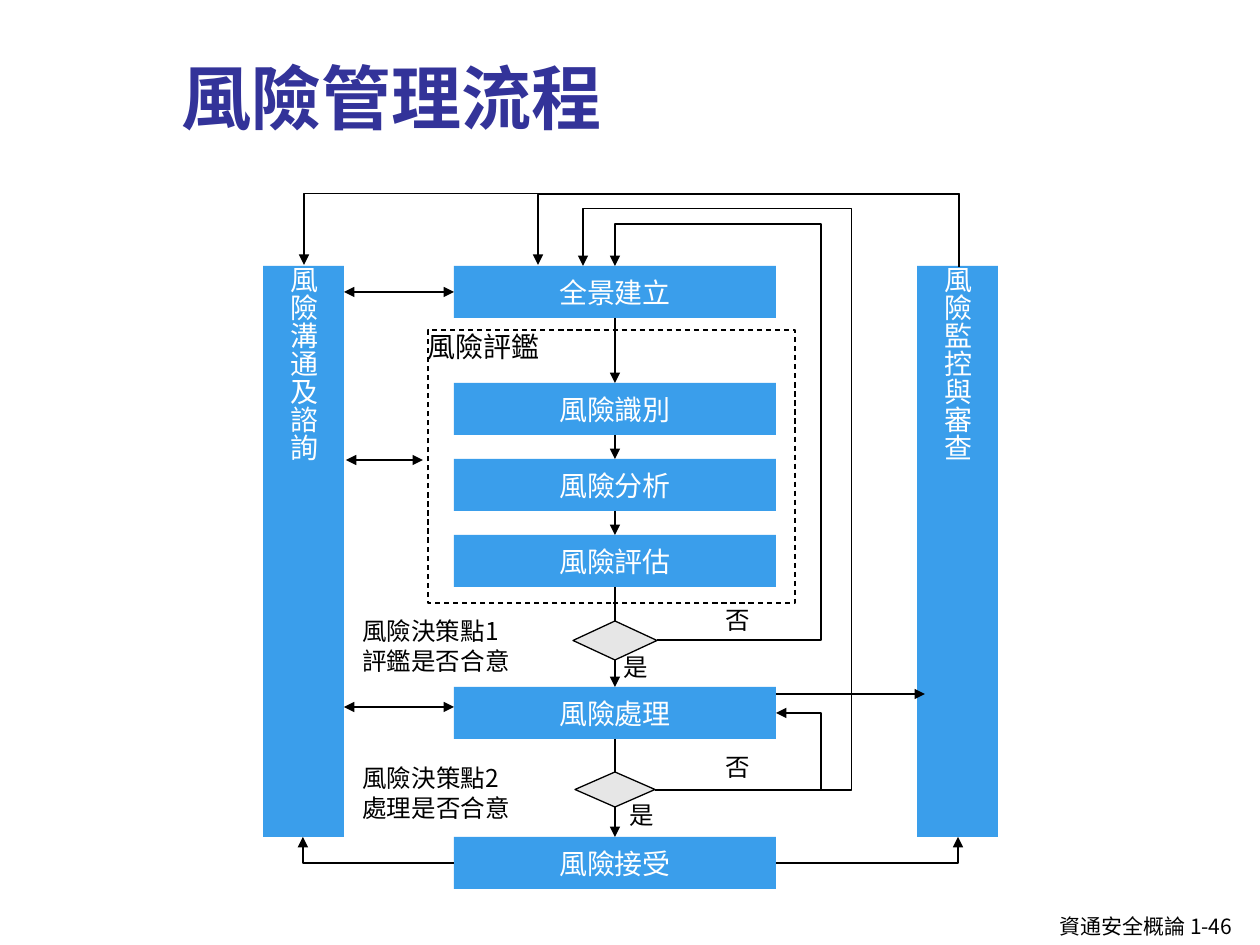
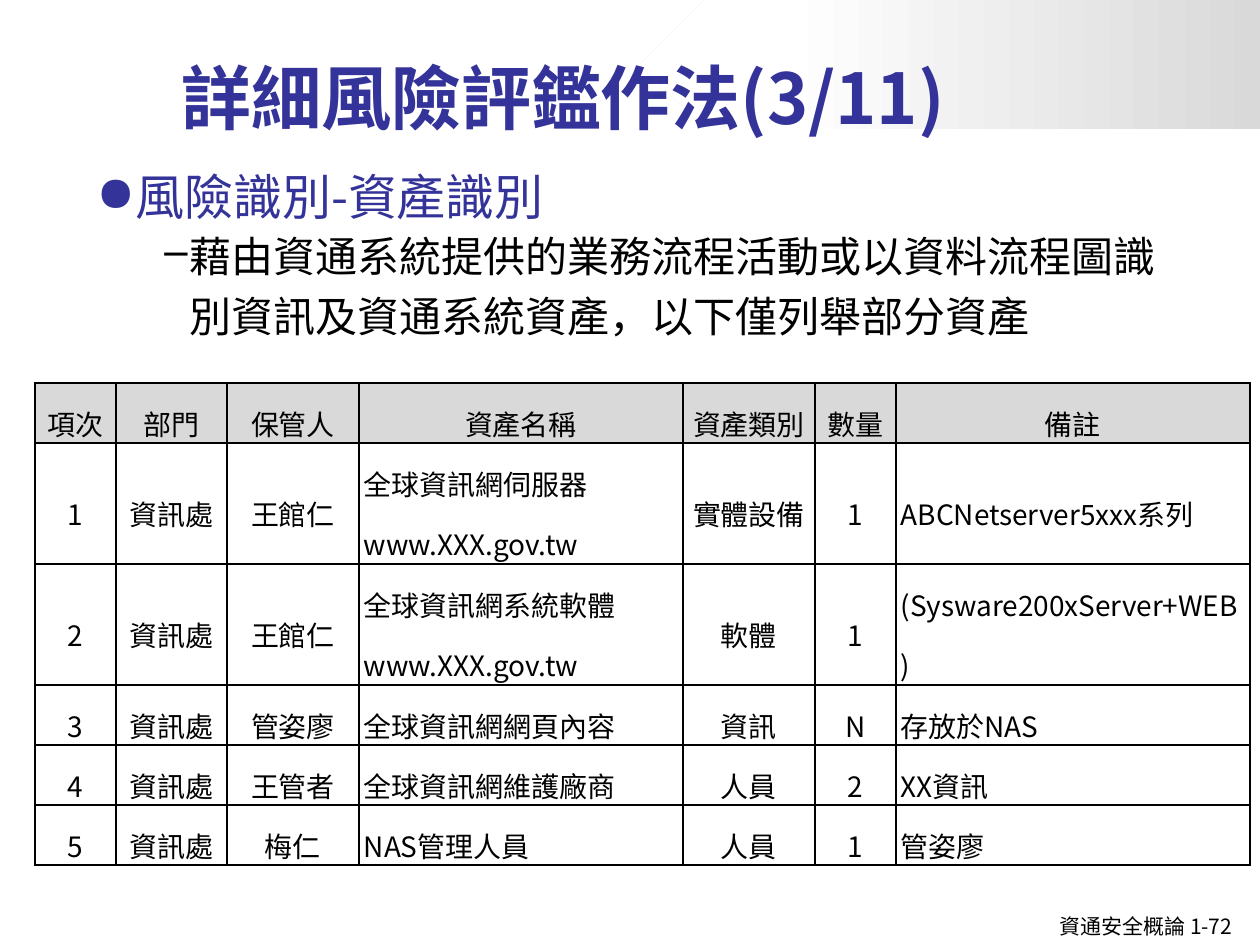
import pptx
import pptx.util
import pptx.dml.color
import pptx.enum.dml
import pptx.enum.shapes
import pptx.enum.text
import pptx.oxml.ns
import lxml.etree

RGB = pptx.dml.color.RGBColor
KIND = pptx.enum.shapes.MSO_SHAPE
LINK = pptx.enum.shapes.MSO_CONNECTOR
ALIGN = pptx.enum.text.PP_ALIGN
HOLD = pptx.enum.text.MSO_ANCHOR

INK = RGB(0, 0, 0)
WHITE = RGB(255, 255, 255)
NAVY = RGB(0x33, 0x33, 0x99)
SKY = RGB(0x3A, 0x9E, 0xEB)
PALE = RGB(0xE6, 0xE6, 0xE6)
GREY = RGB(0xD9, 0xD9, 0xD9)
SANS = "Noto Sans CJK SC"
BOLD = "Noto Sans CJK TC"
SCALE = 914400 / 126
WIDE, HIGH = 1260, 945

STEPS = [("全景建立", 266), ("風險識別", 383), ("風險分析", 459),
         ("風險評估", 535), ("風險處理", 687), ("風險接受", 837)]
NOTES = [("否", 713, 599, 59), ("否", 713, 746, 59),
         ("是", 611, 646, 59), ("是", 617, 794, 59),
         ("風險決策點1\n評鑑是否合意", 350, 610, 266),
         ("風險決策點2\n處理是否合意", 350, 757, 247)]
COLS = [81, 111, 132, 324, 132, 81, 354]
ROWS = [60, 121, 121, 60, 60, 60]
LEFT = (3, 6)
ASSETS = [
    ["項次", "部門", "保管人", "資產名稱", "資產類別", "數量", "備註"],
    ["1", "資訊處", "王館仁", "全球資訊網伺服器\nwww.XXX.gov.tw", "實體設備", "1", "ABCNetserver5xxx系列"],
    ["2", "資訊處", "王館仁", "全球資訊網系統軟體\nwww.XXX.gov.tw", "軟體", "1", "(Sysware200xServer+WEB)"],
    ["3", "資訊處", "管姿廖", "全球資訊網網頁內容", "資訊", "N", "存放於NAS"],
    ["4", "資訊處", "王管者", "全球資訊網維護廠商", "人員", "2", "XX資訊"],
    ["5", "資訊處", "梅仁", "NAS管理人員", "人員", "1", "管姿廖"],
]


def px(num):
    return pptx.util.Emu(round(num * SCALE))


def place(*nums):
    return [px(num) for num in nums]


def node(top, tag, **attrs):
    item = lxml.etree.SubElement(top, pptx.oxml.ns.qn(tag))
    for key, val in attrs.items():
        item.set(key, str(val))
    return item


def style(frame, size, tint, face=SANS, bold=False, align=ALIGN.LEFT, space=None):
    for para in frame.paragraphs:
        para.alignment = align
        para.line_spacing = space
        for run in para.runs:
            font = run.font
            font.size = pptx.util.Pt(size)
            font.bold = bold
            font.color.rgb = tint
            font.name = face
            node(font._element, "a:ea", typeface=face)


def write(slide, box, text, size, tint=INK, wrap=True, hold=HOLD.TOP, **look):
    frame = slide.shapes.add_textbox(*place(*box)).text_frame
    frame.word_wrap = wrap
    frame.vertical_anchor = hold
    frame.text = text
    style(frame, size, tint, **look)
    return frame


def bullet(frame, mark, start, hang):
    props = frame.paragraphs[0]._p.get_or_add_pPr()
    props.set("marL", str(px(start)))
    props.set("indent", str(-px(hang)))
    node(props, "a:buChar", char=mark)


def block(slide, kind, box, fill, edge=None, text="", tint=WHITE,
          align=ALIGN.CENTER, hold=HOLD.MIDDLE):
    shape = slide.shapes.add_shape(kind, *place(*box))
    shape.shadow.inherit = False
    shape.fill.solid()
    shape.fill.fore_color.rgb = fill
    if edge is None:
        shape.line.fill.background()
    else:
        shape.line.color.rgb = edge
        shape.line.width = pptx.util.Pt(0.75)
    frame = shape.text_frame
    frame.margin_left = frame.margin_right = frame.margin_top = frame.margin_bottom = 0
    frame.vertical_anchor = hold
    if text:
        frame.text = text
        style(frame, 16, tint, align=align)
    return shape


def wire(slide, start, end, kind=LINK.STRAIGHT, head=False, tail=True):
    line = slide.shapes.add_connector(kind, *place(*start, *end))
    line.line.color.rgb = INK
    line.line.width = pptx.util.Pt(0.75)
    for tag, wanted in (("a:headEnd", head), ("a:tailEnd", tail)):
        if wanted:
            node(line.line._get_or_add_ln(), tag, type="triangle")
    node(line._element.spPr, "a:effectLst")
    return line


def bend(slide, start, end, *via):
    line = wire(slide, start, end, LINK.ELBOW)
    geom = line._element.spPr.find(pptx.oxml.ns.qn("a:prstGeom"))
    geom.set("prst", f"bentConnector{len(via) + 2}")
    guides = geom.find(pptx.oxml.ns.qn("a:avLst"))
    for num, (mid, one, two) in enumerate(zip(via, start, end), 1):
        ratio = round((mid - one) / (two - one) * 100000)
        node(guides, "a:gd", name=f"adj{num}", fmla=f"val {ratio}")
    return line


def rise(slide, start, end, top):
    (x1, y1), (x2, y2) = start, end
    midx, midy = (x1 + x2) / 2, (y1 + y2) / 2
    far, near = (x1 - x2) / 2, (y1 - y2) / 2
    ratio = (y1 - top) / (y1 - y2)
    turn = midx - near + 2 * near * ratio
    line = bend(slide, (midx - near, midy + far), (midx + near, midy - far), turn)
    line._element.spPr.find(pptx.oxml.ns.qn("a:xfrm")).set("rot", "16200000")


def join(slide, one, two, tail=True):
    line = wire(slide, (0, 0), (1, 1), tail=tail)
    line.begin_connect(one, 2)
    line.end_connect(two, 0)


def base(deck, title, page, band=False):
    slide = deck.slides.add_slide(deck.slide_layouts[6])
    write(slide, (1047, 907, 213, 38), f"資通安全概論 {page}", 12, wrap=False)
    if band:
        corner(slide, (640, 0, 620, 129))
    write(slide, (169, 16, 1091, 129), title, 40, NAVY,
          hold=HOLD.BOTTOM, face=BOLD, bold=True)
    return slide


def corner(slide, box):
    shape = block(slide, KIND.PENTAGON, box, WHITE)
    shape.fill.gradient()
    shape.fill.gradient_angle = 0
    for stop, spot, tint in zip(shape.fill.gradient_stops, (0, 0.77), (GREY, WHITE)):
        stop.position = spot
        stop.color.rgb = tint
    shape._element.spPr.find(pptx.oxml.ns.qn("a:xfrm")).set("flipH", "1")


def chart(slide, box):
    left, top, wide, high = box

    def at(x, y):
        return left + x, top + y

    frame = block(slide, KIND.RECTANGLE, (*at(165, 137), 367, 273), WHITE, INK, "風險評鑑",
                  INK, ALIGN.LEFT, HOLD.TOP)
    frame.line.dash_style = pptx.enum.dml.MSO_LINE.DASH
    for x, text in ((0, "風險溝通及諮詢"), (wide - 81, "風險監控與審查")):
        bar = block(slide, KIND.RECTANGLE, (*at(x, 73), 81, 571), SKY,
                    text=text, align=ALIGN.LEFT)
        bar.text_frame._txBody.bodyPr.set("vert", "eaVert")
    scene, spot, study, rate, treat, accept = [
        block(slide, KIND.RECTANGLE, (*at(191, y - top), 322, 52), SKY, text=text)
        for text, y in STEPS]
    first, second = [
        block(slide, KIND.FLOWCHART_DECISION, (*at(352 - w // 2, y), w, h), PALE, INK)
        for y, w, h in ((428, 84, 39), (579, 80, 35))]
    for text, x, y, w in NOTES:
        write(slide, (*at(x - left, y - top), w, 52), text, 14)

    for one, two in ((scene, spot), (spot, study), (study, rate),
                     (first, treat), (second, accept)):
        join(slide, one, two)
    join(slide, rate, first, False)
    join(slide, treat, second, False)

    bend(slide, at(394, 447), at(352, 73), *at(558, 31))
    bend(slide, at(392, 597), at(513, 520), left + 558)
    bend(slide, at(392, 597), at(320, 73), *at(589, 16))
    bend(slide, at(513, 670), at(695, 644))
    bend(slide, at(191, 670), at(40, 644))
    for x, y in ((275, 1), (41, 0)):
        rise(slide, at(696, 74), at(x, 72), top + y)
    for x1, x2, y in ((81, 191, 514), (83, 160, 267)):
        wire(slide, at(x1, y), at(x2, y), head=True)
    talk = wire(slide, at(81, 99), at(191, 99), head=True)
    talk.end_connect(scene, 1)
    wire(slide, at(513, 501), at(662, 501))


def cell(item, text, fill, align):
    item.text = text
    item.vertical_anchor = HOLD.MIDDLE
    item.margin_left = item.margin_right = px(5)
    item.margin_top = item.margin_bottom = 0
    style(item.text_frame, 16, INK, align=align, space=1.5)
    props = item._tc.get_or_add_tcPr()
    for side in "LRTB":
        edge = node(props, f"a:ln{side}", w=12700)
        node(node(edge, "a:solidFill"), "a:srgbClr", val=INK)
    item.fill.solid()
    item.fill.fore_color.rgb = fill


def grid(slide, left, top):
    box = place(left, top, sum(COLS), sum(ROWS))
    table = slide.shapes.add_table(len(ROWS), len(COLS), *box).table
    table.first_row = table.horz_banding = False
    for col, wide in zip(table.columns, COLS):
        col.width = px(wide)
    for row, high in zip(table.rows, ROWS):
        row.height = px(high)
    for r, texts in enumerate(ASSETS):
        for c, text in enumerate(texts):
            align = ALIGN.LEFT if r and c in LEFT else ALIGN.CENTER
            cell(table.cell(r, c), text, WHITE if r else GREY, align)


def points(slide, left, top):
    head = write(slide, (left, top, 1113, 70), "風險識別-資產識別", 28, NAVY, space=1.2)
    bullet(head, "●", 39, 39)
    text = "藉由資通系統提供的業務流程活動或以資料流程圖識別資訊及資通系統資產，以下僅列舉部分資產"
    body = write(slide, (left + 29, top + 65, 1082, 135), text, 24, space=1.2)
    bullet(body, "–", 64, 25)


def main():
    deck = pptx.Presentation()
    deck.slide_width, deck.slide_height = place(WIDE, HIGH)
    chart(base(deck, "風險管理流程", "1-46"), (263, 193, 735, 696))
    slide = base(deck, "詳細風險評鑑作法(3/11)", "1-72", band=True)
    points(slide, 84, 149)
    grid(slide, 35, 383)
    deck.save("out.pptx")


if __name__ == "__main__":
    main()
